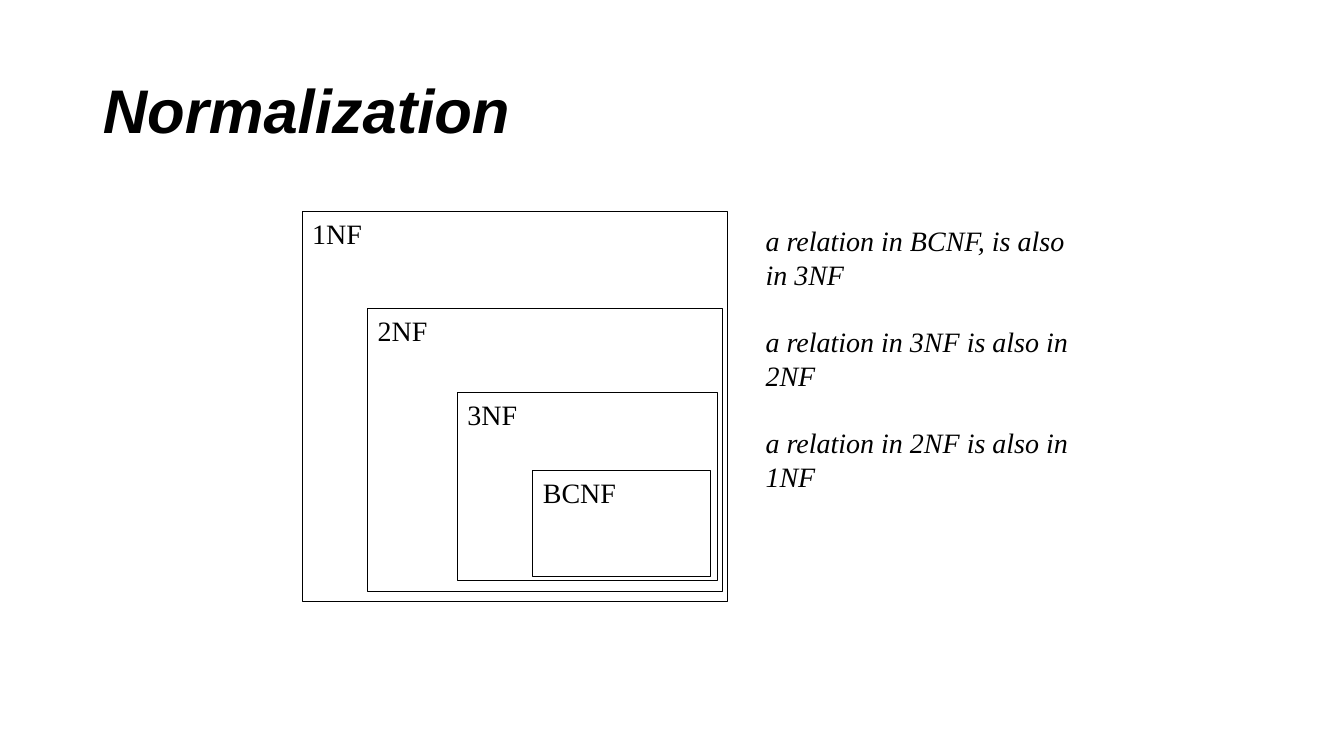
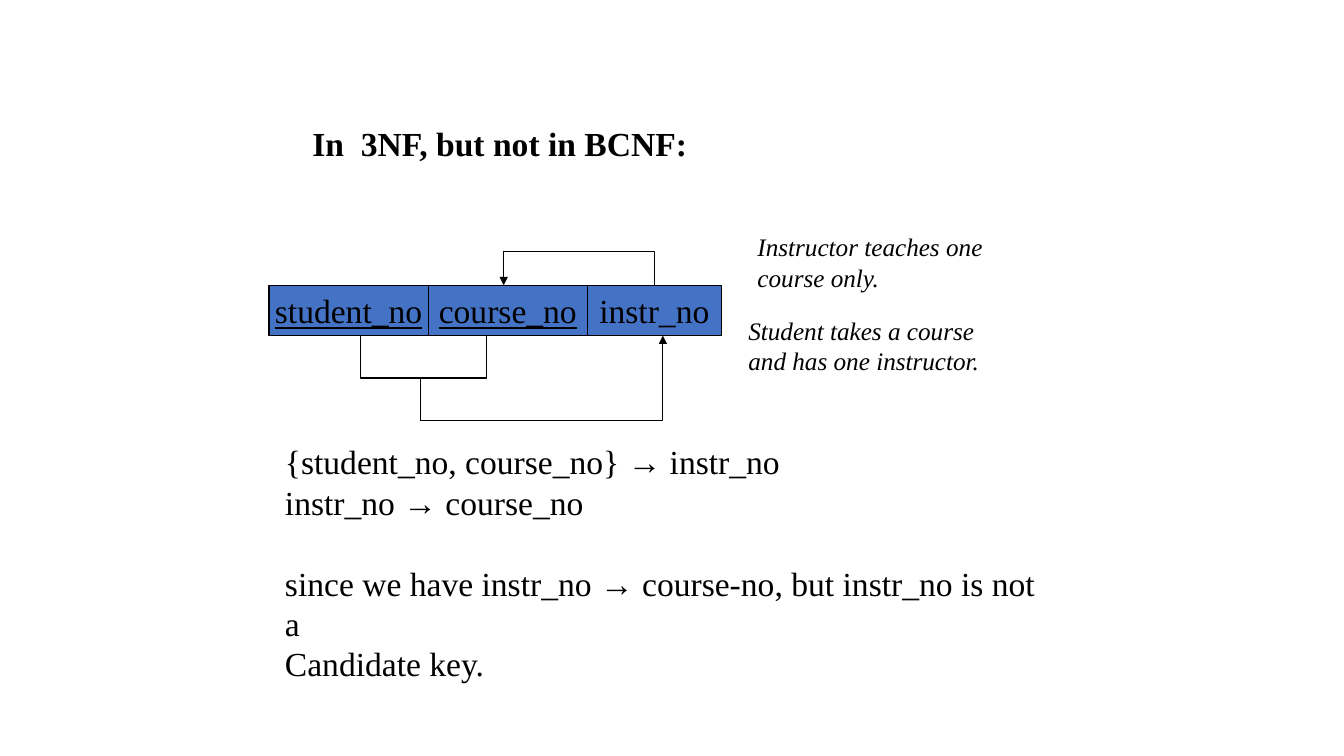
from pptx import Presentation
from pptx.dml.color import RGBColor
from pptx.enum.shapes import MSO_SHAPE
from pptx.enum.text import MSO_ANCHOR, MSO_AUTO_SIZE, PP_ALIGN
from pptx.oxml.ns import qn
from pptx.util import Inches, Pt
from lxml import etree

RECTANGLE = MSO_SHAPE.RECTANGLE
TOP, MIDDLE = MSO_ANCHOR.TOP, MSO_ANCHOR.MIDDLE
LEFT, CENTER = PP_ALIGN.LEFT, PP_ALIGN.CENTER

BLACK = "000000"
FIELD_BLUE = "4472C4"
BODY_FONT = "Times New Roman"
SYMBOL_FONT = "Arial"
TITLE_ONLY = 5


def write(shape, lines, size, font=BODY_FONT, bold=False, italic=False,
          underline=False, align=LEFT, anchor=TOP):
    """Fill a shape with one paragraph per line, arrows in the symbol font."""
    frame = shape.text_frame
    frame.word_wrap = True
    frame.auto_size = MSO_AUTO_SIZE.NONE
    frame.vertical_anchor = anchor
    for index, line in enumerate(lines):
        paragraph = frame.paragraphs[0] if index == 0 else frame.add_paragraph()
        paragraph.alignment = align
        paragraph.font.name = font
        paragraph.font.size = Pt(size)
        paragraph.font.bold = bold
        paragraph.font.italic = italic
        paragraph.font.underline = underline
        paragraph.font.color.rgb = RGBColor.from_string(BLACK)
        before, arrow, after = line.partition("→")
        for text in filter(None, (before, arrow, after)):
            run = paragraph.add_run()
            run.text = text
            if text == "→":
                run.font.name = SYMBOL_FONT
    return frame.paragraphs


def outline(shape, fill=None):
    """Give a shape a thin black line, and a fill only if one is named."""
    shape.shadow.inherit = False
    shape.line.color.rgb = RGBColor.from_string(BLACK)
    shape.line.width = Pt(0.75)
    if fill:
        shape.fill.solid()
        shape.fill.fore_color.rgb = RGBColor.from_string(fill)
    else:
        shape.fill.background()


presentation = Presentation()
presentation.slide_width = Inches(13.34)
presentation.slide_height = Inches(7.5)
layout = presentation.slide_layouts[TITLE_ONLY]

# Slide 1: nested normal forms
slide = presentation.slides.add_slide(layout)
title = slide.shapes.title
title.left, title.top = Inches(0.92), Inches(0.4)
title.width, title.height = Inches(11.5), Inches(1.45)
write(title, ["Normalization"], 44, font="Arial", bold=True, italic=True,
      anchor=MIDDLE)[0].line_spacing = 0.9

normal_forms = [
    ("1NF", 3, 2.1, 4.22, 3.87),
    ("2NF", 3.65, 3.06, 3.52, 2.81),
    ("3NF", 4.54, 3.89, 2.58, 1.87),
    ("BCNF", 5.29, 4.67, 1.76, 1.05),
]
for name, *box in normal_forms:
    form = slide.shapes.add_shape(RECTANGLE, *map(Inches, box))
    outline(form)
    write(form, [name], 20)

implications = slide.shapes.add_textbox(
    Inches(7.5), Inches(2.17), Inches(3.25), Inches(3.65))
paragraphs = write(implications, [
    "a relation in BCNF, is also in 3NF",
    "a relation in 3NF is also in 2NF",
    "a relation in 2NF is also in 1NF",
], 20, italic=True)
for paragraph in paragraphs[1:]:
    paragraph.space_before = Pt(24)

# Slide 2: a relation in 3NF but not in BCNF
slide = presentation.slides.add_slide(layout)
title = slide.shapes.title
title.left, title.top = Inches(3), Inches(1.17)
title.width, title.height = Inches(4.33), Inches(0.5)
write(title, ["In  3NF, but not in BCNF:"], 24, bold=True)

field_left, field_top, field_height = 2.67, 2.83, 0.5
field_bottom = field_top + field_height
for name, width, is_key in [("student_no", 1.58, True),
                            ("course_no", 1.58, True),
                            ("instr_no", 1.33, False)]:
    field = slide.shapes.add_shape(
        RECTANGLE, Inches(field_left), Inches(field_top),
        Inches(width), Inches(field_height))
    outline(field, FIELD_BLUE)
    write(field, [name], 24, underline=is_key, align=CENTER, anchor=MIDDLE)
    field.text_frame.word_wrap = False
    field_left += width

key_bracket = [(3.58, field_bottom), (3.58, 3.75), (4.83, 3.75), (4.83, field_bottom)]
key_to_instructor = [(4.17, 3.75), (4.17, 4.17), (6.58, 4.17), (6.58, field_bottom)]
instructor_to_course = [(6.5, field_top), (6.5, 2.5), (5, 2.5), (5, field_top)]
for points, has_arrow in [(key_bracket, False),
                          (key_to_instructor, True),
                          (instructor_to_course, True)]:
    corners = [(Inches(x), Inches(y)) for x, y in points]
    builder = slide.shapes.build_freeform(*corners[0])
    builder.add_line_segments(corners[1:], close=False)
    dependency = builder.convert_to_shape()
    outline(dependency)
    if has_arrow:
        line = dependency.line._get_or_add_ln()
        etree.SubElement(line, qn("a:tailEnd"), type="triangle")

for text, left, top in [
    ("Instructor teaches one course only.", 7.42, 2.25),
    ("Student takes a course and has one instructor.", 7.33, 3.08),
]:
    note = slide.shapes.add_textbox(
        Inches(left), Inches(top), Inches(2.83), Inches(0.7))
    write(note, [text], 18, italic=True)

explanation = slide.shapes.add_textbox(
    Inches(2.73), Inches(4.33), Inches(7.81), Inches(2.1))
paragraphs = write(explanation, [
    "{student_no, course_no} → instr_no",
    "instr_no → course_no",
    "since we have instr_no → course-no, but instr_no is not a",
    "Candidate key.",
], 24)
paragraphs[2].space_before = Pt(29)

presentation.save("out.pptx")
